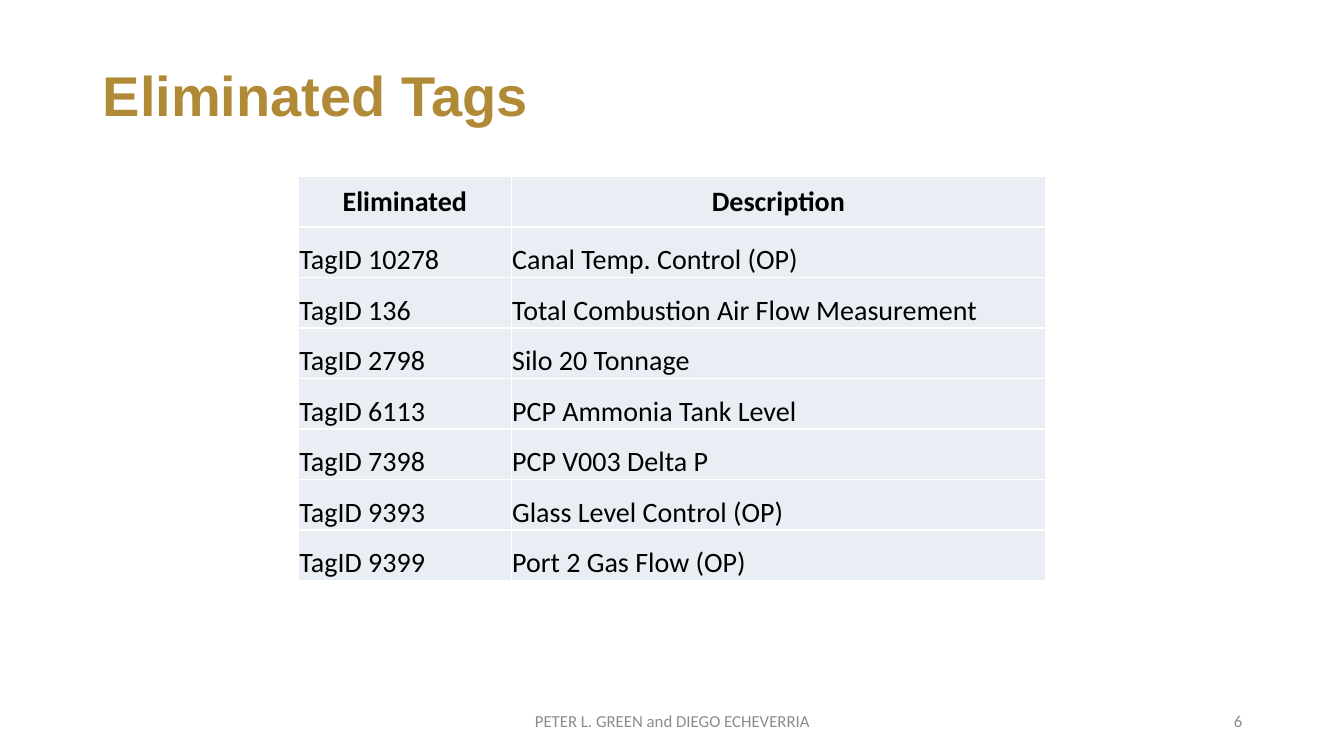
from lxml import etree
from pptx import Presentation
from pptx.dml.color import RGBColor
from pptx.enum.text import MSO_ANCHOR as Anchor, PP_ALIGN as Align
from pptx.oxml.ns import qn
from pptx.util import Inches, Pt

GOLD, GREY, BLACK = "B18A38", "8C8C8C", "000000"
CELL_FILL, BORDER = "E9EDF4", "FFFFFF"

TAGS = [
    ("Eliminated", "Description"),
    ("TagID 10278", "Canal Temp. Control (OP)"),
    ("TagID 136", "Total Combustion Air Flow Measurement"),
    ("TagID 2798", "Silo 20 Tonnage"),
    ("TagID 6113", "PCP Ammonia Tank Level"),
    ("TagID 7398", "PCP V003 Delta P"),
    ("TagID 9393", "Glass Level Control (OP)"),
    ("TagID 9399", "Port 2 Gas Flow (OP)"),
]


def color(hex_string):
    return RGBColor.from_string(hex_string)


def write_text(frame, text, *, size, hex_color, font="Calibri", bold=False,
               align=Align.LEFT, spacing=1.0):
    paragraph = frame.paragraphs[0]
    paragraph.alignment = align
    paragraph.line_spacing = spacing
    run = paragraph.add_run()
    run.text = text
    run.font.name = font
    run.font.size = Pt(size)
    run.font.bold = bold
    run.font.color.rgb = color(hex_color)


def add_title(slide, text, left, top, width, height):
    title = slide.shapes.title
    title.left, title.top = Inches(left), Inches(top)
    title.width, title.height = Inches(width), Inches(height)
    title.text_frame.vertical_anchor = Anchor.MIDDLE
    write_text(title.text_frame, text, size=40, hex_color=GOLD, font="Arial",
               bold=True, spacing=0.9)


def add_footer_text(slide, text, left, top, width, height, align):
    box = slide.shapes.add_textbox(Inches(left), Inches(top), Inches(width), Inches(height))
    frame = box.text_frame
    frame.word_wrap = True
    frame.vertical_anchor = Anchor.MIDDLE
    write_text(frame, text, size=12, hex_color=GREY, align=align)


def set_borders(cell, hex_color, width):
    """Line all four sides; call before filling, as the lines must come first."""
    properties = cell._tc.get_or_add_tcPr()
    for side in ("lnL", "lnR", "lnT", "lnB"):
        line = etree.SubElement(properties, qn(f"a:{side}"), w=str(Pt(width)))
        fill = etree.SubElement(line, qn("a:solidFill"))
        etree.SubElement(fill, qn("a:srgbClr"), val=hex_color)


def add_tag_table(slide, rows, left, top, width, height, first_column):
    table = slide.shapes.add_table(len(rows), 2, Inches(left), Inches(top),
                                   Inches(width), Inches(height)).table
    table.columns[0].width = Inches(first_column)
    table.columns[1].width = Inches(width - first_column)
    for row_index, row in enumerate(rows):
        header = row_index == 0
        for column_index, text in enumerate(row):
            cell = table.cell(row_index, column_index)
            cell.margin_left = cell.margin_right = cell.margin_top = Inches(0.01)
            cell.margin_bottom = 0
            cell.vertical_anchor = Anchor.MIDDLE if header else Anchor.BOTTOM
            set_borders(cell, BORDER, 1)
            cell.fill.solid()
            cell.fill.fore_color.rgb = color(CELL_FILL)
            write_text(cell.text_frame, text, size=20, hex_color=BLACK, bold=header,
                       align=Align.CENTER if header else Align.LEFT)


def main():
    presentation = Presentation()
    presentation.slide_width = Inches(13.33)
    presentation.slide_height = Inches(7.5)
    slide = presentation.slides.add_slide(presentation.slide_layouts[5])
    add_title(slide, "Eliminated Tags", 0.92, 0.4, 11.5, 1.16)
    add_footer_text(slide, "PETER L. GREEN and DIEGO ECHEVERRIA",
                    4.42, 6.95, 4.5, 0.4, Align.CENTER)
    add_footer_text(slide, "6", 9.42, 6.95, 3, 0.4, Align.RIGHT)
    add_tag_table(slide, TAGS, 2.96, 1.75, 7.41, 4.01, first_column=2.11)
    presentation.save("out.pptx")


if __name__ == "__main__":
    main()
